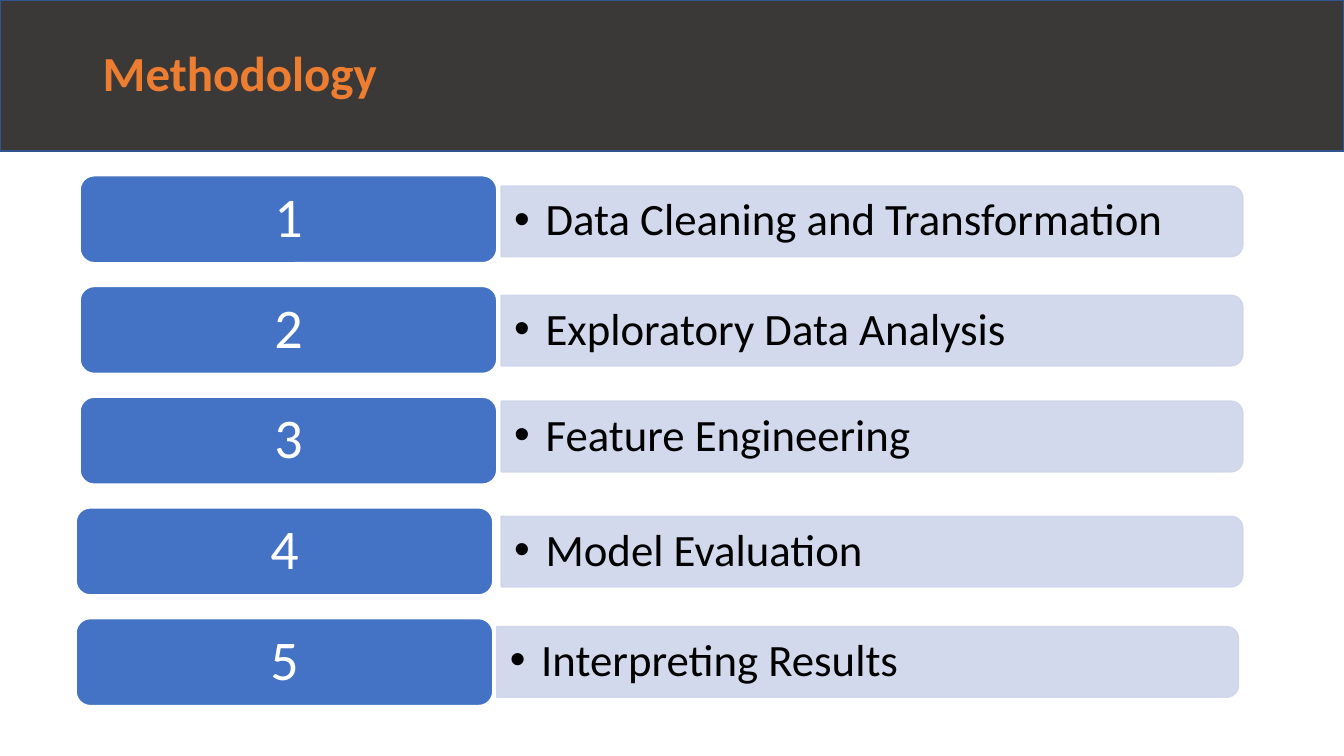
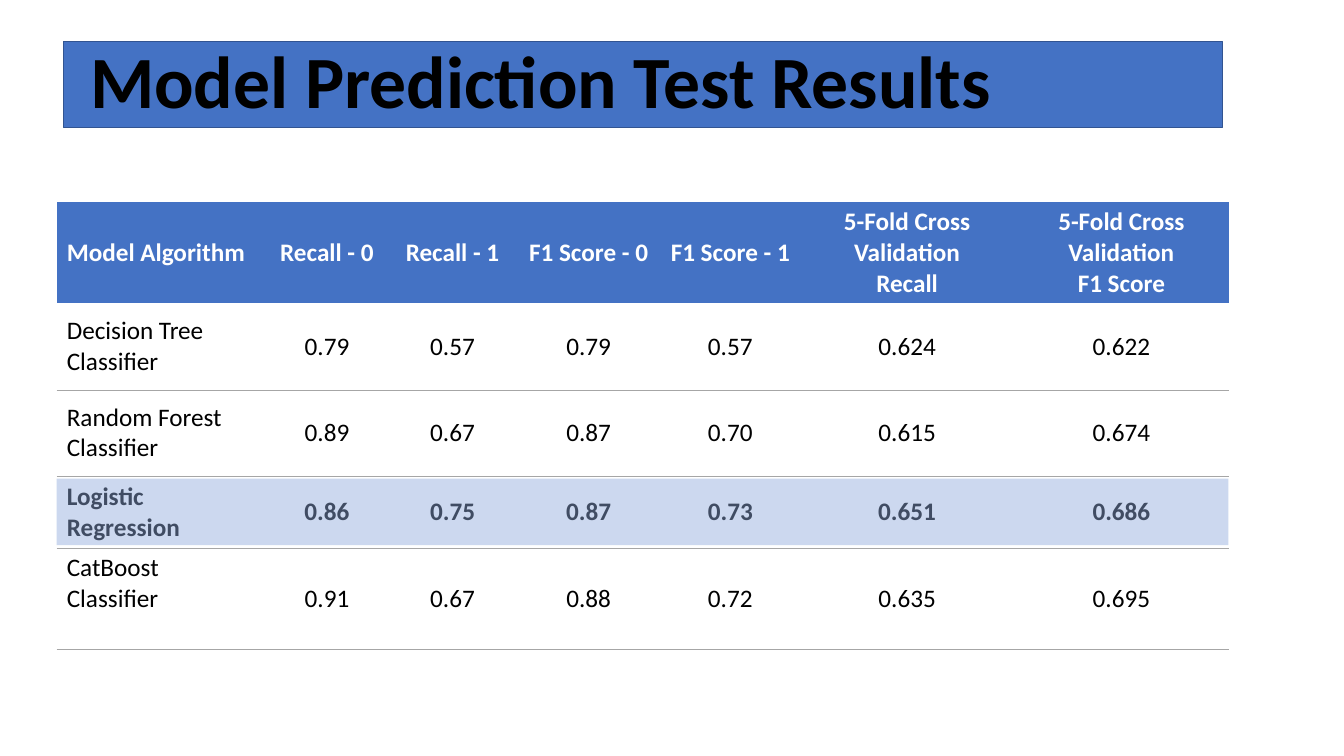
from lxml import etree
from pptx import Presentation
from pptx.dml.color import RGBColor
from pptx.enum.shapes import MSO_SHAPE
from pptx.enum.text import MSO_ANCHOR, PP_ALIGN
from pptx.oxml.ns import qn
from pptx.util import Cm, Pt

RECTANGLE = MSO_SHAPE.RECTANGLE
ROUNDED = MSO_SHAPE.ROUNDED_RECTANGLE
ROUND_TOP = MSO_SHAPE.ROUND_2_SAME_RECTANGLE
TOP, MIDDLE, BOTTOM = MSO_ANCHOR.TOP, MSO_ANCHOR.MIDDLE, MSO_ANCHOR.BOTTOM
LEFT, CENTER = PP_ALIGN.LEFT, PP_ALIGN.CENTER

BLUE = RGBColor(0x44, 0x72, 0xC4)
DARK_BLUE = RGBColor(0x32, 0x54, 0x91)
LIGHT_BLUE = RGBColor(0x8F, 0xAA, 0xDC)
PALE_BLUE = RGBColor(0xCF, 0xD5, 0xEA)
CHARCOAL = RGBColor(0x3B, 0x38, 0x38)
ORANGE = RGBColor(0xED, 0x7D, 0x31)
GREY = RGBColor(0xA6, 0xA6, 0xA6)
BLACK = RGBColor(0, 0, 0)
WHITE = RGBColor(0xFF, 0xFF, 0xFF)

FONT = "Calibri"
PLAIN_TABLE_STYLE = "{2D5ABB26-0587-4C30-8999-92F81FD0307C}"

STEP_PITCH = 2.79
STEPS = [
    ("Data Cleaning and Transformation", 0, 10.72, 0.27),
    ("Exploratory Data Analysis", 0, 10.72, 0.23),
    ("Feature Engineering", 0, 10.72, 0.11),
    ("Model Evaluation", -0.1, 10.72, 0.22),
    ("Interpreting Results", -0.1, 10.61, 0.21),
]

COLUMN_WIDTHS = [5.26, 3.1, 3.23, 3.63, 3.51, 5.4, 5.4]
ROW_HEIGHTS = [2.56, 2.18, 2.18, 1.8, 2.56]
HIGHLIGHTED_ROW = 3
RESULTS = [
    ["Model Algorithm", "Recall - 0", "Recall - 1", "F1 Score - 0", "F1 Score - 1",
     "5-Fold Cross Validation\nRecall", "5-Fold Cross Validation\nF1 Score"],
    ["Decision Tree Classifier", "0.79", "0.57", "0.79", "0.57", "0.624", "0.622"],
    ["Random Forest Classifier", "0.89", "0.67", "0.87", "0.70", "0.615", "0.674"],
    ["Logistic Regression", "0.86", "0.75", "0.87", "0.73", "0.651", "0.686"],
    ["CatBoost Classifier", "0.91", "0.67", "0.88", "0.72", "0.635", "0.695"],
]


def write(frame, text, size=18, color=BLACK, bold=False, align=LEFT,
          spacing=1.0, bullet_indent=None):
    frame.word_wrap = True
    for index, line in enumerate(text.split("\n")):
        paragraph = frame.add_paragraph() if index else frame.paragraphs[0]
        paragraph.alignment = align
        paragraph.line_spacing = spacing
        run = paragraph.add_run()
        run.text = line
        run.font.name = FONT
        run.font.size = Pt(size)
        run.font.bold = bold
        run.font.color.rgb = color
        if bullet_indent is not None:
            properties = paragraph._p.get_or_add_pPr()
            properties.set("marL", str(Cm(bullet_indent)))
            properties.set("indent", str(-Cm(bullet_indent)))
            etree.SubElement(properties, qn("a:buFont")).set("typeface", "Arial")
            etree.SubElement(properties, qn("a:buChar")).set("char", "•")


def set_frame(frame, anchor=MIDDLE, side=0.25, edge=0.13):
    frame.vertical_anchor = anchor
    frame.margin_left = frame.margin_right = Cm(side)
    frame.margin_top = frame.margin_bottom = Cm(edge)


def set_opacity(fill_parent, percent):
    for color in fill_parent.iter(qn("a:srgbClr")):
        etree.SubElement(color, qn("a:alpha")).set("val", str(percent * 1000))


def add_block(slide, kind, left, top, width, height, fill,
              line=None, line_width=1, opacity=None):
    shape = slide.shapes.add_shape(kind, Cm(left), Cm(top), Cm(width), Cm(height))
    shape.shadow.inherit = False
    shape.fill.solid()
    shape.fill.fore_color.rgb = fill
    if line is None:
        shape.line.fill.background()
    else:
        shape.line.color.rgb = line
        shape.line.width = Pt(line_width)
    if opacity is not None:
        set_opacity(shape._element.spPr, opacity)
    return shape


def add_title_band(slide, title, left, top, width, height, fill, color, size,
                   indent, anchor=MIDDLE, spacing=0.9):
    band = add_block(slide, RECTANGLE, left, top, width, height, fill, DARK_BLUE)
    set_frame(band.text_frame, anchor)
    band.text_frame.margin_left = Cm(indent)
    write(band.text_frame, title, size=size, color=color, bold=True, spacing=spacing)


def add_step(slide, number, text, left, top, bar_left, bar_drop):
    number_block = add_block(slide, ROUNDED, left, top, 10.52, 2.21, BLUE, WHITE, 1.5)
    set_frame(number_block.text_frame, side=0.43, edge=0.2)
    write(number_block.text_frame, str(number), size=40, color=WHITE,
          align=CENTER, spacing=0.9)

    width, height = 18.69, 1.78
    bar_top = top + bar_drop
    turn = (width - height) / 2
    bar = add_block(slide, ROUND_TOP, bar_left + turn, bar_top - turn, height, width,
                    PALE_BLUE, PALE_BLUE, opacity=90)
    bar.rotation = 90
    label = slide.shapes.add_textbox(Cm(bar_left), Cm(bar_top + 0.09),
                                     Cm(width - 0.09), Cm(height - 0.18))
    set_frame(label.text_frame, side=0.33, edge=0.18)
    write(label.text_frame, text, size=32, spacing=0.9, bullet_indent=0.79)


def add_bottom_border(cell, color, width):
    properties = cell._tc.get_or_add_tcPr()
    border = etree.Element(qn("a:lnB"), w=str(Pt(width)))
    fill = etree.SubElement(border, qn("a:solidFill"))
    etree.SubElement(fill, qn("a:srgbClr")).set("val", str(color))
    properties.insert(0, border)


def add_results_table(slide, left, top):
    frame = slide.shapes.add_table(len(RESULTS), len(COLUMN_WIDTHS), Cm(left), Cm(top),
                                   Cm(sum(COLUMN_WIDTHS)), Cm(sum(ROW_HEIGHTS)))
    table = frame.table
    table.horz_banding = False
    table._tbl.tblPr.find(qn("a:tableStyleId")).text = PLAIN_TABLE_STYLE
    for column, width in zip(table.columns, COLUMN_WIDTHS):
        column.width = Cm(width)
    last_row = len(RESULTS) - 1
    for row_index, values in enumerate(RESULTS):
        table.rows[row_index].height = Cm(ROW_HEIGHTS[row_index])
        is_header = row_index == 0
        for column_index, value in enumerate(values):
            cell = table.cell(row_index, column_index)
            is_name = column_index == 0
            cell.vertical_anchor = TOP if is_name and row_index == last_row else MIDDLE
            write(cell.text_frame, value, color=WHITE if is_header else BLACK,
                  bold=row_index in (0, HIGHLIGHTED_ROW),
                  align=LEFT if is_name else CENTER)
            if is_header:
                cell.fill.solid()
                cell.fill.fore_color.rgb = BLUE
            else:
                cell.fill.background()
                add_bottom_border(cell, GREY, 0.25)
    highlight_top = top + sum(ROW_HEIGHTS[:HIGHLIGHTED_ROW]) + 0.06
    add_block(slide, RECTANGLE, left, highlight_top, sum(COLUMN_WIDTHS), 1.68,
              LIGHT_BLUE, opacity=45)


def build_methodology(slide):
    add_title_band(slide, "Methodology", 0, 0, 33.87, 3.81, CHARCOAL, ORANGE,
                   size=35, indent=2.59)
    left, top = 2.01, 4.42
    for index, (text, shift, bar_shift, bar_drop) in enumerate(STEPS):
        add_step(slide, index + 1, text, left + shift, top + index * STEP_PITCH,
                 left + bar_shift - 0.1, bar_drop)


def build_results(slide):
    add_results_table(slide, 1.43, 5.08)
    add_title_band(slide, "Model Prediction Test Results", 1.6, 1.04, 29.21, 2.18,
                   BLUE, BLACK, size=52.6, indent=0.67, anchor=BOTTOM, spacing=0.8)


def main():
    presentation = Presentation()
    presentation.slide_width = Cm(33.87)
    presentation.slide_height = Cm(19.05)
    blank_layout = presentation.slide_layouts[6]
    for build in (build_methodology, build_results):
        build(presentation.slides.add_slide(blank_layout))
    presentation.save("out.pptx")


if __name__ == "__main__":
    main()
